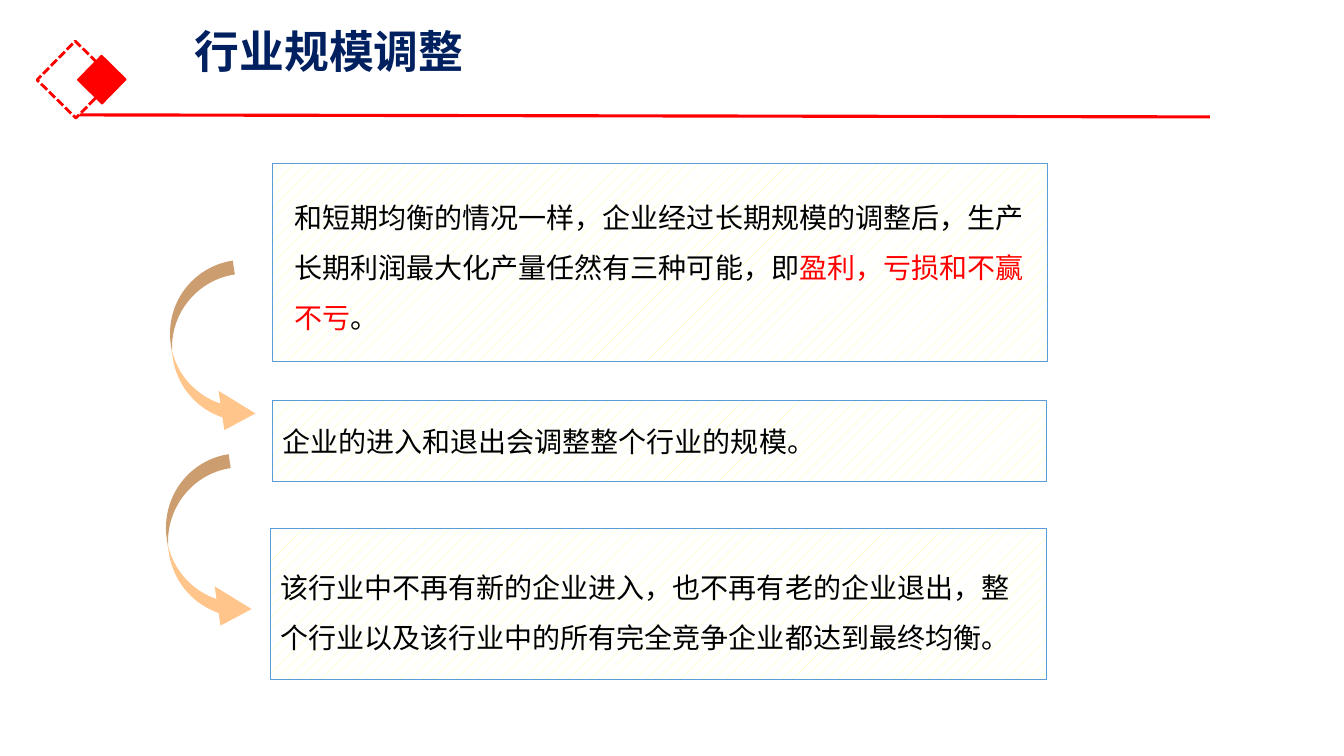
from lxml.etree import SubElement
from pptx import Presentation
from pptx.dml.color import RGBColor
from pptx.enum.dml import MSO_LINE, MSO_PATTERN
from pptx.enum.shapes import MSO_CONNECTOR, MSO_SHAPE
from pptx.enum.text import MSO_ANCHOR, MSO_AUTO_SIZE, PP_ALIGN
from pptx.oxml.ns import qn
from pptx.util import Inches, Pt

FONT = "Noto Sans CJK SC"
COLORS = {name: RGBColor.from_string(value) for name, value in {
    "navy": "002060", "red": "FF0000", "black": "000000", "blue": "5B9BD5",
    "yellow": "FFFF99", "white": "FFFFFF", "peach": "FFC58B"}.items()}
TITLE_FORMAT = {"name": FONT, "size": Pt(32), "bold": True}
BODY_FORMAT = {"name": FONT, "size": Pt(20), "bold": False}


def write_text(frame, runs, font_format, line_spacing):
    """Fill the first paragraph with (text, colour name) runs."""
    frame.word_wrap = True
    paragraph = frame.paragraphs[0]
    paragraph.alignment = PP_ALIGN.LEFT
    paragraph.line_spacing = line_spacing
    for text, color in runs:
        run = paragraph.add_run()
        run.text = text
        for attribute, value in font_format.items():
            setattr(run.font, attribute, value)
        run.font.color.rgb = COLORS[color]
        SubElement(run.font._element, qn("a:ea"), typeface=FONT)


def add_plain_shape(kind, left, top, width, height, rotation=0):
    shape = slide.shapes.add_shape(
        kind, Inches(left), Inches(top), Inches(width), Inches(height))
    shape.rotation = rotation
    shape.shadow.inherit = False
    return shape


presentation = Presentation()
presentation.slide_width = Inches(13.33)
presentation.slide_height = Inches(7.5)
slide = presentation.slides.add_slide(presentation.slide_layouts[5])

# Title and its red ornament
title = slide.shapes.title
title.left, title.top = Inches(1.83), Inches(0.3)
title.width, title.height = Inches(11.5), Inches(0.95)
title.text_frame.auto_size = MSO_AUTO_SIZE.NONE
title.text_frame.vertical_anchor = MSO_ANCHOR.TOP
title.text_frame.margin_top = 0
write_text(title.text_frame, [("行业规模调整", "navy")], TITLE_FORMAT, 0.9)

dashed_diamond = add_plain_shape(MSO_SHAPE.RECTANGLE, 0.48, 0.52, 0.54, 0.54, 314.5)
dashed_diamond.fill.background()
dashed_diamond.line.width = Pt(2)
dashed_diamond.line.dash_style = MSO_LINE.SQUARE_DOT

solid_diamond = add_plain_shape(MSO_SHAPE.RECTANGLE, 0.84, 0.62, 0.34, 0.34, 314.5)
solid_diamond.fill.solid()
solid_diamond.fill.fore_color.rgb = COLORS["red"]
solid_diamond.line.width = Pt(1)

title_rule = slide.shapes.add_connector(
    MSO_CONNECTOR.STRAIGHT, Inches(0.79), Inches(1.14), Inches(12), Inches(1.16))
title_rule.line.width = Pt(2.25)
SubElement(title_rule._element.spPr, qn("a:effectLst"))

for ornament in (dashed_diamond, solid_diamond, title_rule):
    ornament.line.color.rgb = COLORS["red"]

# Three steps: left, top, width, height, line spacing, text in the panel
steps = [
    (2.7, 1.62, 7.69, 1.97, 1.5, ""),
    (2.7, 3.97, 7.68, 0.81, 1.0, "企业的进入和退出会调整整个行业的规模。"),
    (2.68, 5.24, 7.7, 1.5, 1.5,
     "该行业中不再有新的企业进入，也不再有老的企业退出，整个行业以及该行业中的所有完全竞争企业都达到最终均衡。"),
]
for left, top, width, height, line_spacing, text in steps:
    panel = add_plain_shape(MSO_SHAPE.ACTION_BUTTON_CUSTOM, left, top, width, height)
    panel.fill.patterned()
    panel.fill.pattern = MSO_PATTERN.PERCENT_10
    panel.fill.fore_color.rgb = COLORS["yellow"]
    panel.fill.back_color.rgb = COLORS["white"]
    panel.line.color.rgb = COLORS["blue"]
    panel.line.width = Pt(0.75)
    if text:
        panel.text_frame.vertical_anchor = MSO_ANCHOR.MIDDLE
        write_text(panel.text_frame, [(text, "black")], BODY_FORMAT, line_spacing)

outcomes = slide.shapes.add_textbox(
    Inches(2.82), Inches(1.77), Inches(7.69), Inches(1.56))
write_text(outcomes.text_frame, [
    ("和短期均衡的情况一样，企业经过长期规模的调整后，生产长期利润最大化产量任然有三种可能，即", "black"),
    ("盈利，亏损和不赢不亏", "red"),
    ("。", "black"),
], BODY_FORMAT, 1.5)

# Curved arrows from each step to the next
for left, top, width in [(1.21, 3.13, 1.73), (1.16, 5.06, 1.75)]:
    arrow = add_plain_shape(MSO_SHAPE.CURVED_DOWN_ARROW, left, top, width, 0.73, 81.6)
    arrow._element.spPr.xfrm.set("flipV", "1")
    for index, adjustment in enumerate((0.19, 0.54, 0.45)):
        arrow.adjustments[index] = adjustment
    arrow.fill.solid()
    arrow.fill.fore_color.rgb = COLORS["peach"]
    arrow.line.fill.background()

presentation.save("out.pptx")
